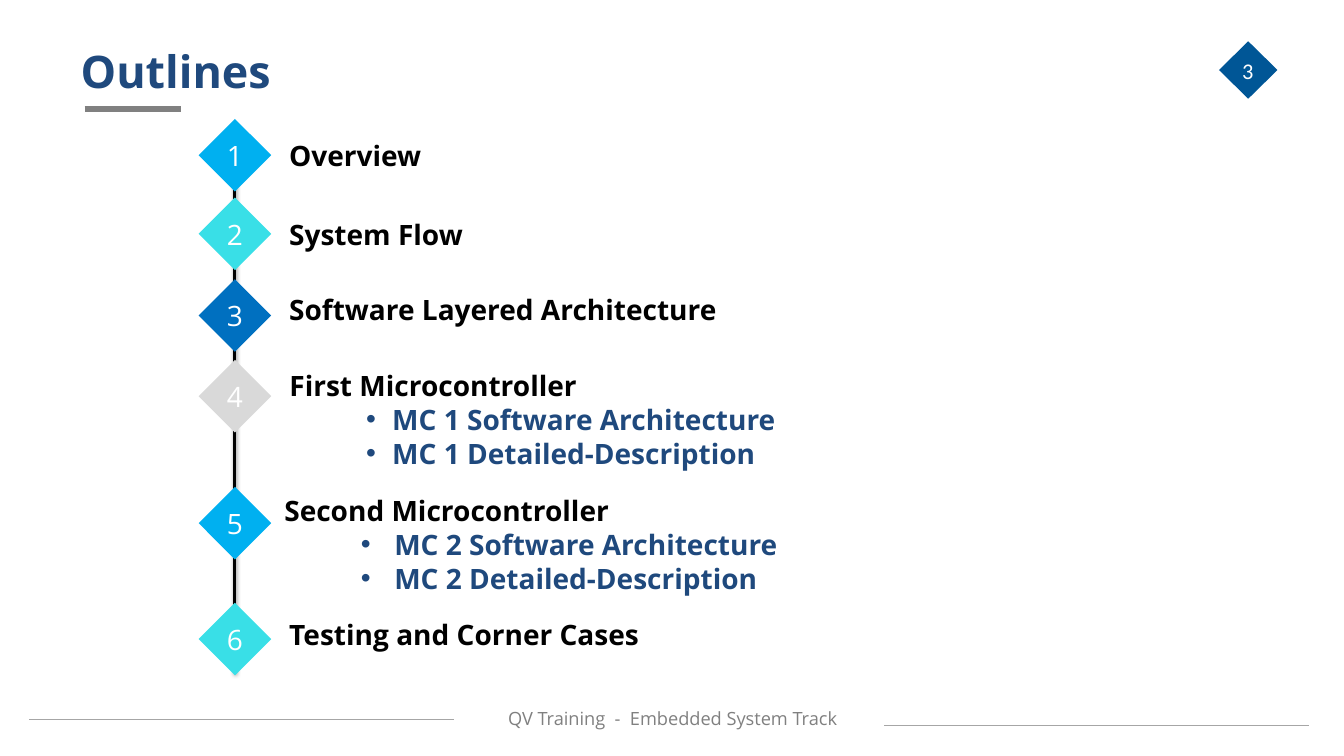
from lxml import etree
from pptx import Presentation
from pptx import util as u
from pptx.dml.color import RGBColor
from pptx.enum import shapes, text
from pptx.oxml.ns import qn

Inches = u.Inches
rgb = RGBColor.from_string
NAVY, BLACK, WHITE, GREY = "1F497D", "000000", "FFFFFF", "808080"


def write(box, lines, size, color, bold=False, font="Open Sans", align=text.PP_ALIGN.LEFT):
    """Put lines into a box as equally formatted paragraphs."""
    frame = box.text_frame
    frame.word_wrap = True
    frame.text = "\n".join(lines)
    for para in frame.paragraphs:
        para.alignment = align
        para.space_before = u.Pt(0)
        for span in para.runs:
            span.font.size = u.Pt(size)
            span.font.name = font
            span.font.bold = bold
            span.font.color.rgb = rgb(color)
    return frame


def place(item, left, top, width, height):
    item.left, item.top = Inches(left), Inches(top)
    item.width, item.height = Inches(width), Inches(height)


deck = Presentation()
deck.slide_width, deck.slide_height = Inches(13.33), Inches(7.5)
page = deck.slides.add_slide(deck.slide_layouts.get_by_name("Two Content"))

# Rules: timeline, title underline and the two footer lines
rules = [
    (2.33, 1.74, 2.33, 6.67, BLACK, 2.25),
    (0.84, 1.08, 1.8, 1.08, GREY, 4.5),
    (4.5, 7.14, 0.29, 7.14, "A6A6A6", 0.5),
    (12.98, 7.2, 8.77, 7.2, "A6A6A6", 0.5),
]
for x1, y1, x2, y2, color, weight in rules:
    rule = page.shapes.add_connector(
        shapes.MSO_CONNECTOR.STRAIGHT, Inches(x1), Inches(y1), Inches(x2), Inches(y2))
    rule.line.color.rgb = rgb(color)
    rule.line.width = u.Pt(weight)
    effects = etree.SubElement(rule._element.spPr, qn("a:effectLst"))
    if x1 == x2:
        shadow = etree.SubElement(effects, qn("a:outerShdw"), blurRad="39370",
                                  dist="20320", dir="5400000", rotWithShape="0")
        shade = etree.SubElement(shadow, qn("a:srgbClr"), val=BLACK)
        etree.SubElement(shade, qn("a:alpha"), val="38000")

# Diamonds: six numbered steps and the page number badge
diamonds = [
    (1.97, 1.18, 0.72, 0.72, "00B0F0", "1"),
    (1.97, 1.96, 0.72, 0.72, "39DFE7", "2"),
    (1.97, 2.77, 0.72, 0.72, "0070C0", "3"),
    (1.97, 3.57, 0.72, 0.72, "D9D9D9", "4"),
    (1.97, 4.83, 0.72, 0.72, "00B0F0", "5"),
    (1.97, 5.98, 0.72, 0.72, "39DFE7", "6"),
    (12.09, 0.41, 0.58, 0.57, "005696", ""),
]
for left, top, width, height, color, number in diamonds:
    diamond = page.shapes.add_shape(
        shapes.MSO_SHAPE.DIAMOND, Inches(left), Inches(top), Inches(width), Inches(height))
    diamond.shadow.inherit = False
    diamond.fill.solid()
    diamond.fill.fore_color.rgb = rgb(color)
    diamond.line.fill.background()
    if number:
        frame = write(diamond, [number], 20, WHITE, align=text.PP_ALIGN.CENTER)
        frame.vertical_anchor = text.MSO_ANCHOR.MIDDLE

# Title, footer and page number share the same insets
title = page.shapes.title
place(title, 0.67, 0.31, 12, 0.78)
footer = page.shapes.add_textbox(Inches(4.56), Inches(6.93), Inches(4.22), Inches(0.4))
page_number = page.shapes.add_textbox(Inches(12.19), Inches(0.5), Inches(0.37), Inches(0.4))
for frame in (
    write(title, ["Outlines"], 32, NAVY, bold=True),
    write(footer, ["QV Training  -  Embedded System Track"], 13, GREY,
          align=text.PP_ALIGN.CENTER),
    write(page_number, ["3"], 16, WHITE, font="Calibri", align=text.PP_ALIGN.RIGHT),
):
    frame.margin_left = frame.margin_right = Inches(0.13)
    frame.margin_top = frame.margin_bottom = Inches(0.07)
    frame.vertical_anchor = text.MSO_ANCHOR.MIDDLE
    frame.auto_size = text.MSO_AUTO_SIZE.NONE

# Single-line topics
topics = [
    ("Overview", 1.26, 4.24, 0.5, 1.2),
    ("System Flow", 2.11, 4.1, 0.44, 1.0),
    ("Software Layered Architecture", 2.85, 6.54, 0.44, 1.0),
    ("Testing and Corner Cases", 6.08, 6.67, 0.44, 1.0),
]
for topic, top, width, height, spacing in topics:
    box = page.shapes.add_textbox(Inches(2.77), Inches(top), Inches(width), Inches(height))
    frame = write(box, [topic], 20, BLACK, bold=True)
    frame.paragraphs[0].line_spacing = spacing
    frame.auto_size = text.MSO_AUTO_SIZE.SHAPE_TO_FIT_TEXT

# Microcontroller topics with bulleted details
controllers = [
    (1, "First", "MC 1", 2.77, 3.61, 1.02),
    (2, "Second", "MC 2", 2.72, 4.85, 1.09),
]
for index, order, label, left, top, indent in controllers:
    body = page.placeholders[index]
    place(body, left, top, 6.67, 1.11)
    frame = write(body, [f"{order} Microcontroller", f"{label} Software Architecture",
                         f"{label} Detailed-Description"], 20, BLACK, bold=True)
    frame.auto_size = text.MSO_AUTO_SIZE.SHAPE_TO_FIT_TEXT
    heading, *details = frame.paragraphs
    props = heading._p.get_or_add_pPr()
    props.set("marL", "0")
    props.set("indent", "0")
    etree.SubElement(props, qn("a:buNone"))
    for para in details:
        para.level = 1
        para.runs[0].font.color.rgb = rgb(NAVY)
        props = para._p.get_or_add_pPr()
        props.set("marL", str(Inches(indent)))
        props.set("indent", str(Inches(0.76) - Inches(indent)))
        etree.SubElement(props, qn("a:buFont"), typeface="Arial")
        etree.SubElement(props, qn("a:buChar"), char="•")

deck.save("out.pptx")
